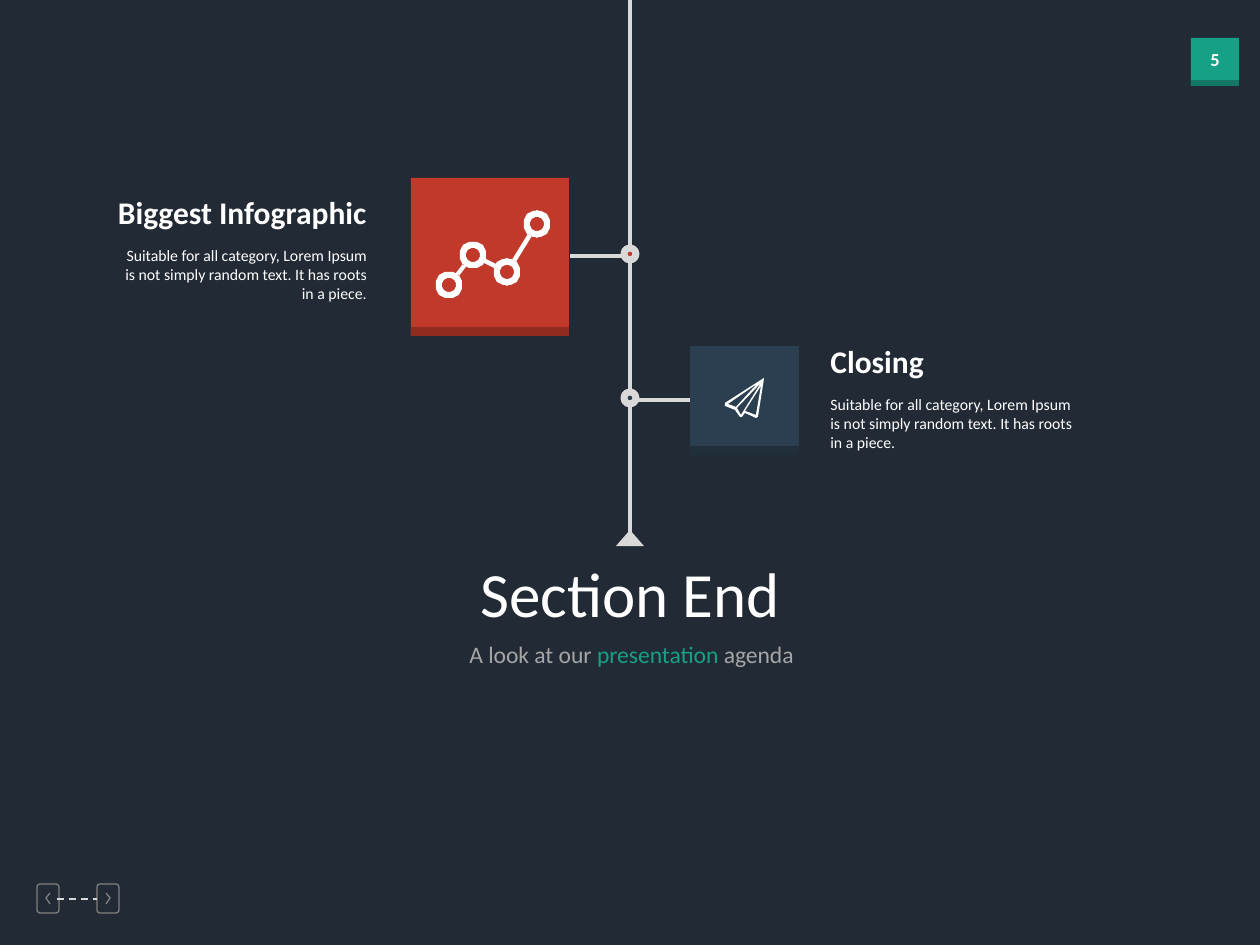
import math
from itertools import pairwise

from lxml import etree
from pptx import Presentation, util as u
from pptx.dml.color import RGBColor
from pptx.enum import dml, shapes, text
from pptx.oxml.ns import qn

PX = 914400 / 126
WHITE, PALE, GRAY = "FFFFFF", "D9D9D9", "808080"
TEAL, RED, NAVY = "16A085", "C0392B", "2C3F50"
LEFT, CENTER, RIGHT = text.PP_ALIGN.LEFT, text.PP_ALIGN.CENTER, text.PP_ALIGN.RIGHT
BLURB = ("Suitable for all category, Lorem Ipsum is not simply random text. "
         "It has roots in a piece.")


def px(*values):
    return [u.Emu(round(v * PX)) for v in values]


def color(value):
    return RGBColor.from_string(value)


def style(sp, fill=None, line=None, width=1):
    sp.shadow.inherit = False
    if fill:
        sp.fill.solid()
        sp.fill.fore_color.rgb = color(fill)
    else:
        sp.fill.background()
    if line:
        sp.line.color.rgb = color(line)
        sp.line.width = u.Pt(width)
    else:
        sp.line.fill.background()


def add_box(s, kind, x, y, w, h, **look):
    sp = s.shapes.add_shape(kind, *px(x, y, w, h))
    style(sp, **look)
    return sp


def add_line(s, x1, y1, x2, y2, width=2, dash=None):
    c = s.shapes.add_connector(shapes.MSO_CONNECTOR.STRAIGHT, *px(x1, y1, x2, y2))
    c.line.color.rgb = color(PALE)
    c.line.width = u.Pt(width)
    if dash:
        c.line.dash_style = dash
    etree.SubElement(c._element.spPr, qn("a:effectLst"))


def add_dot(s, cx, cy, fill):
    add_box(s, shapes.MSO_SHAPE.OVAL, cx - 6, cy - 6, 12, 12,
            fill=fill, line=PALE, width=4)


def add_tile(s, x, y, size, band, fill, band_fill):
    rect = shapes.MSO_SHAPE.RECTANGLE
    add_box(s, rect, x, y, size, size, fill=fill)
    add_box(s, rect, x, y + size - band, size, band, fill=band_fill)


def add_outline(s, contours, close=True, **look):
    (x, y), *rest = contours[0]
    fb = s.shapes.build_freeform(x, y, scale=PX)
    fb.add_line_segments(rest, close=close)
    for (x, y), *rest in contours[1:]:
        fb.move_to(x, y)
        fb.add_line_segments(rest, close=close)
    style(fb.convert_to_shape(), **look)


def add_text(s, x, y, w, h, runs, size, align=LEFT, bold=False, wrap=False):
    tf = s.shapes.add_textbox(*px(x, y, w, h)).text_frame
    tf.word_wrap = wrap
    tf.auto_size = text.MSO_AUTO_SIZE.SHAPE_TO_FIT_TEXT
    p = tf.paragraphs[0]
    p.alignment = align
    for words, shade in runs:
        r = p.add_run()
        r.text = words
        r.font.name = "Calibri"
        r.font.size = u.Pt(size)
        r.font.bold = bold
        r.font.color.rgb = color(shade)


def add_caption(s, x, y, title, title_w, align):
    """Title with a blurb below; both share the edge given by align."""
    blurb_w = 271
    title_x = x + blurb_w - title_w if align == RIGHT else x
    add_text(s, title_x, y, title_w, 50, [(title, WHITE)], 18, align, bold=True)
    add_text(s, x, y + 53, blurb_w, 71, [(BLURB, WHITE)], 9, align, wrap=True)


def add_nav_button(s, x, direction):
    sp = add_box(s, shapes.MSO_SHAPE.ROUNDED_RECTANGLE, x, 884, 22, 29,
                 line=GRAY, width=0.75)
    sp.adjustments[0] = 0.14
    cx = x + 11
    back, tip = cx - 2 * direction, cx + 2 * direction
    add_outline(s, [[(back, 893), (tip, 898), (back, 904)]], close=False,
                line=GRAY, width=0.75)


def circle(cx, cy, radius, steps=40):
    angles = [math.tau * i / steps for i in range(steps)]
    return [(cx + radius * math.cos(a), cy + radius * math.sin(a)) for a in angles]


def link(a, b, gap, half):
    """Corners of a straight bar between two rings of radius gap."""
    (x1, y1), (x2, y2) = a, b
    length = math.dist(a, b)
    dx, dy = (x2 - x1) / length, (y2 - y1) / length
    ends = [(gap, half), (length - gap, half), (length - gap, -half), (gap, -half)]
    return [(x1 + along * dx - side * dy, y1 + along * dy + side * dx)
            for along, side in ends]


def add_trend_icon(s):
    points = [(449, 285), (473, 255), (507, 272), (537, 224)]
    rings = [circle(*p, radius) for p in points for radius in (13.5, 7)]
    links = [link(a, b, 13.3, 2) for a, b in pairwise(points)]
    add_outline(s, rings + links, fill=WHITE)


def add_plane_icon(s):
    body = [(764, 378), (725, 403), (725, 406), (735, 410), (740, 417), (742, 417),
            (745, 413), (756, 418), (758, 417), (764, 379)]
    folds = [[(728, 404), (757, 384), (736, 407)],
             [(737, 408), (761, 383), (741, 415)],
             [(756, 415), (745, 411), (761, 386)]]
    add_outline(s, [body, *folds], fill=WHITE)


def main():
    prs = Presentation()
    prs.slide_width, prs.slide_height = px(1260, 945)
    s = prs.slides.add_slide(prs.slide_layouts[6])
    s.background.fill.solid()
    s.background.fill.fore_color.rgb = color("222A35")

    # Page number
    add_tile(s, 1191, 38, 48, 6, TEAL, "107864")
    add_text(s, 1191, 42, 48, 35, [("5", WHITE)], 10.5, CENTER, bold=True)

    # Navigation
    add_nav_button(s, 37, -1)
    add_nav_button(s, 97, 1)
    add_line(s, 57, 899, 97, 899, width=1, dash=dml.MSO_LINE.DASH)

    # Timeline with its branches
    for top, bottom in [(0, 247), (261, 391), (403, 533)]:
        add_line(s, 630, top, 630, bottom)
    add_line(s, 570, 256, 624, 256)
    add_line(s, 636, 400, 690, 400)
    add_dot(s, 630, 254, RED)
    add_dot(s, 630, 398, NAVY)
    add_box(s, shapes.MSO_SHAPE.ISOSCELES_TRIANGLE, 616, 530, 28, 16, fill=PALE)

    # Tiles with icons and captions
    add_tile(s, 411, 178, 158, 9, RED, "902B20")
    add_trend_icon(s)
    add_caption(s, 108, 187, "Biggest Infographic", 278, RIGHT)
    add_tile(s, 690, 346, 109, 9, NAVY, "212F3C")
    add_plane_icon(s)
    add_caption(s, 818, 336, "Closing", 121, LEFT)

    # Section title
    add_text(s, 463, 548, 334, 90, [("Section End", WHITE)], 36, CENTER)
    add_text(s, 457, 634, 353, 42, [("A look at our ", "A6A6A6"), ("presentation", TEAL),
                                    (" agenda", "A6A6A6")], 13.5)

    prs.save("out.pptx")


if __name__ == "__main__":
    main()
